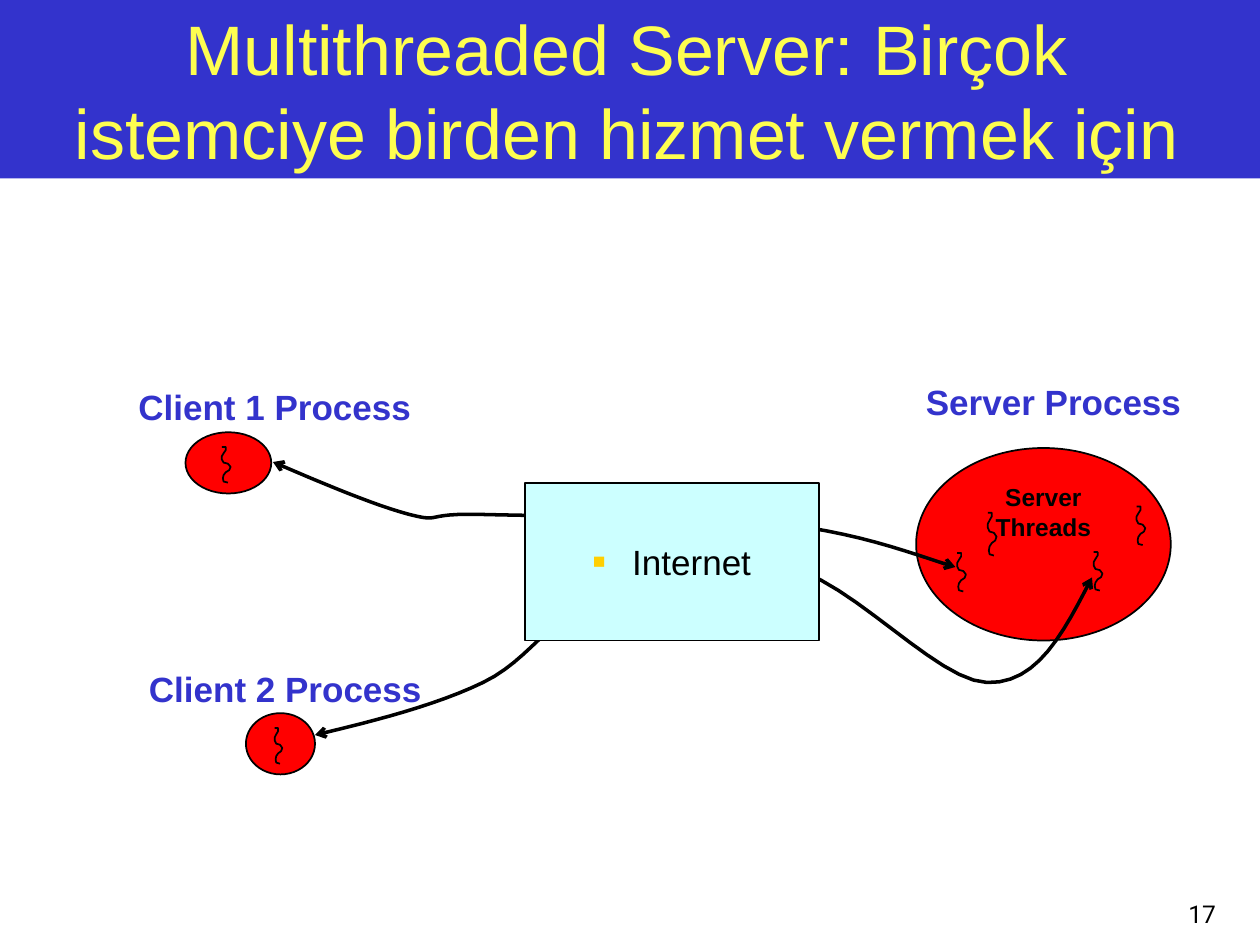
from lxml.etree import SubElement
from pptx import Presentation
from pptx.dml.color import RGBColor
from pptx.enum.shapes import MSO_SHAPE as Shape
from pptx.enum.text import MSO_ANCHOR as Anchor, PP_ALIGN as Align
from pptx.oxml.ns import qn
from pptx.util import Pt

BLUE = RGBColor(0x33, 0x33, 0xCC)
YELLOW = RGBColor(0xFE, 0xFE, 0x50)
GOLD = RGBColor(0xFF, 0xCF, 0x01)
RED = RGBColor(0xFF, 0, 0)
PALE_CYAN = RGBColor(0xCC, 0xFF, 0xFF)
BLACK = RGBColor(0, 0, 0)

# Outline of one thread symbol, as fractions of its width and height
THREAD_OUTLINE = [
    (0, 0), (0.45, 0), (0.45, 0.09), (0.2, 0.18), (0, 0.26), (0, 0.35),
    (0.2, 0.44), (0.7, 0.47), (1, 0.56), (0.85, 0.65), (0.45, 0.71),
    (0.2, 0.79), (0.12, 0.88), (0.2, 0.97), (0.7, 1),
]
CURVE_STEPS = 12


def bezier_points(start, segments):
    """Sample a chain of cubic curves, each given as two controls and an end."""
    points = [start]
    for first, second, end in segments:
        for step in range(1, CURVE_STEPS + 1):
            t = step / CURVE_STEPS
            weights = ((1 - t) ** 3, 3 * t * (1 - t) ** 2, 3 * t * t * (1 - t), t ** 3)
            points.append(tuple(
                sum(weight * value for weight, value in zip(weights, values))
                for values in zip(start, first, second, end)))
        start = end
    return points


class DiagramSlide:
    font_name = "Arial"

    def __init__(self, presentation):
        self.slide = presentation.slides.add_slide(presentation.slide_layouts[5])
        self.shapes = self.slide.shapes

    def style(self, shape, fill=None, line=None, width=1):
        shape.shadow.inherit = False
        if fill is None:
            shape.fill.background()
        else:
            shape.fill.solid()
            shape.fill.fore_color.rgb = fill
        if line is None:
            shape.line.fill.background()
        else:
            shape.line.color.rgb = line
            shape.line.width = Pt(width)

    def set_text(self, shape, lines, color, align=Align.LEFT, anchor=Anchor.TOP,
                 wrap=True, bullet=None, **font_format):
        frame = shape.text_frame
        frame.word_wrap = wrap
        frame.vertical_anchor = anchor
        frame.text = "\n".join(lines)
        for paragraph in frame.paragraphs:
            paragraph.alignment = align
            if bullet:
                self.bullet(paragraph, bullet)
            font = paragraph.runs[0].font
            for name, value in {"name": self.font_name, **font_format}.items():
                setattr(font, name, value)
            font.color.rgb = color

    def bullet(self, paragraph, character):
        properties = paragraph._p.get_or_add_pPr()
        properties.set("marL", str(Pt(22.5)))
        properties.set("indent", str(Pt(-22.5)))
        color = SubElement(properties, qn("a:buClr"))
        SubElement(color, qn("a:srgbClr"), val=str(GOLD))
        SubElement(properties, qn("a:buSzPct"), val="60000")
        SubElement(properties, qn("a:buFont"), typeface=self.font_name)
        SubElement(properties, qn("a:buChar"), char=character)

    def title(self, text, box):
        title = self.shapes.title
        title.left, title.top, title.width, title.height = map(Pt, box)
        self.set_text(title, [text], YELLOW, Align.CENTER, Anchor.MIDDLE, size=Pt(40))

    def preset(self, kind, box, fill, line=BLACK):
        shape = self.shapes.add_shape(kind, *map(Pt, box))
        self.style(shape, fill, line)
        return shape

    def label(self, text, box, color=BLUE, **text_format):
        self.set_text(self.shapes.add_textbox(*map(Pt, box)), [text], color, **text_format)

    def open_outline(self, points):
        start, *rest = [(Pt(x), Pt(y)) for x, y in points]
        builder = self.shapes.build_freeform(*start)
        builder.add_line_segments(rest, close=False)
        return builder.convert_to_shape()

    def thread(self, left, top, width, height):
        shape = self.open_outline(
            [(left + x * width, top + y * height) for x, y in THREAD_OUTLINE])
        self.style(shape, RED, BLACK)

    def connection(self, start, segments):
        shape = self.open_outline(bezier_points(start, segments))
        self.style(shape, None, BLACK, 2)
        line = shape.line._get_or_add_ln()
        for end in ("a:headEnd", "a:tailEnd"):
            SubElement(line, qn(end), type="arrow")


def main():
    presentation = Presentation()
    presentation.slide_width, presentation.slide_height = Pt(720), Pt(540)
    diagram = DiagramSlide(presentation)

    banner = diagram.preset(Shape.RECTANGLE, (0, 0, 720, 102), BLUE, None)
    diagram.shapes.title.element.addprevious(banner.element)
    diagram.title("Multithreaded Server: Birçok istemciye birden hizmet vermek için",
                  (12, 12, 692, 78))
    diagram.label("17", (552, 498, 150, 36), BLACK, align=Align.RIGHT,
                  anchor=Anchor.BOTTOM, size=Pt(14), name="Roboto")

    server = diagram.preset(Shape.OVAL, (523.5, 256, 145.5, 110), RED)
    diagram.set_text(server, ["Server", "Threads"], BLACK, Align.CENTER, wrap=False,
                     size=Pt(14), bold=True)
    for left, top, height in [(547, 316, 22), (564.5, 293, 24.5),
                              (625, 315.5, 22), (649.5, 289.5, 22)]:
        diagram.thread(left, top, 5, height)

    for oval, thread in [((106, 247, 49, 35), (126.8, 255.4, 5, 20.4)),
                         ((140.5, 407.5, 39.5, 35), (157, 416, 4.3, 20.4))]:
        diagram.preset(Shape.OVAL, oval, RED)
        diagram.thread(*thread)

    for text, box in [("Server Process", (522, 214, 186, 31)),
                      ("Client 1 Process", (72, 217, 180, 31)),
                      ("Client 2 Process", (78, 378, 171, 55))]:
        diagram.label(text, box, size=Pt(20), bold=True)

    diagram.connection((156, 264), [
        ((185, 276.5), (214, 288.7), (234, 294)),
        ((254, 299), (240, 293), (276, 294)),
        ((312, 295), (405, 295), (450, 300)),
        ((495, 305), (531, 320), (546, 324))])
    diagram.connection((180, 420), [
        ((214.6, 411.8), (249, 403), (276, 390)),
        ((303, 377), (313, 353), (342, 342)),
        ((371, 331), (413, 316), (450, 324)),
        ((487, 332), (535, 389), (564, 390)),
        ((593, 391), (608, 361), (624, 330))])

    internet = diagram.preset(Shape.RECTANGLE, (300, 276, 168, 90), PALE_CYAN)
    diagram.set_text(internet, ["Internet"], BLACK, Align.CENTER, Anchor.MIDDLE,
                     wrap=False, bullet="■", size=Pt(20))

    presentation.save("out.pptx")


if __name__ == "__main__":
    main()
